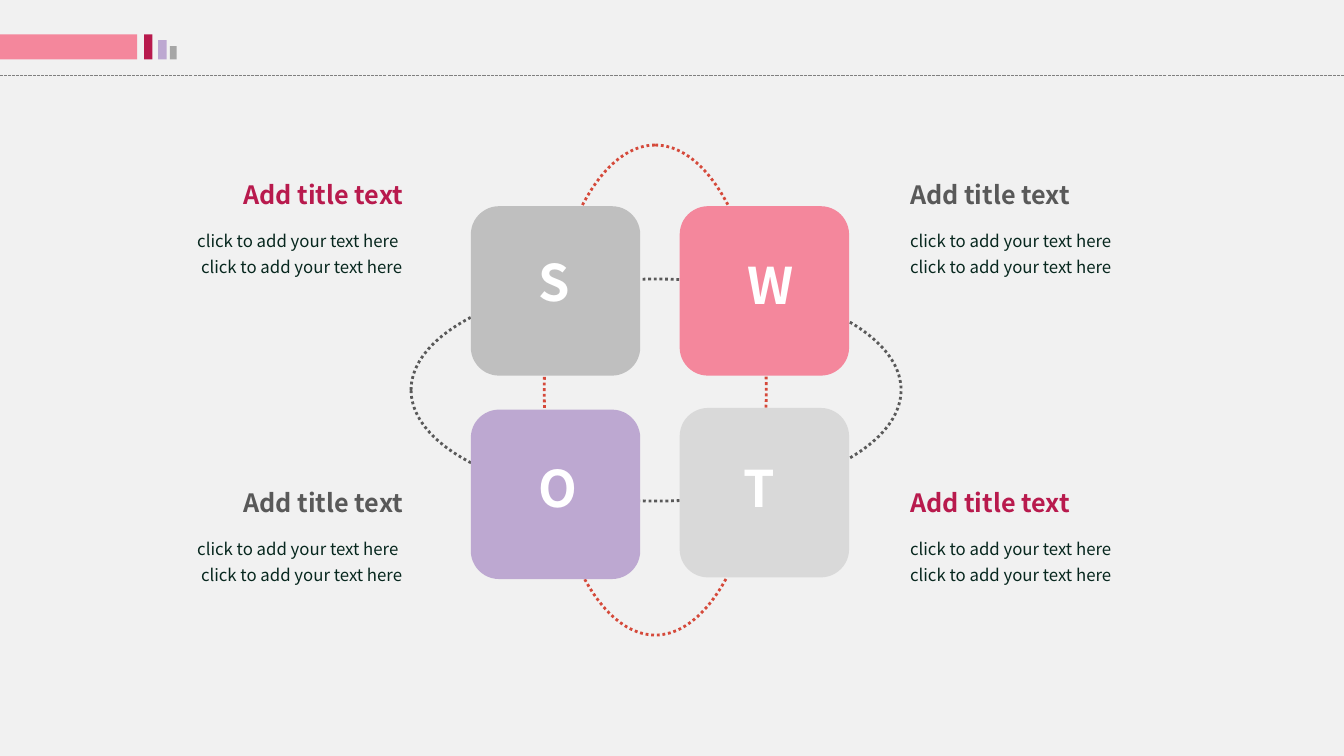
from dataclasses import dataclass

from lxml import etree
from pptx import Presentation
from pptx.dml.color import RGBColor
from pptx.enum.dml import MSO_LINE
from pptx.enum.shapes import MSO_CONNECTOR, MSO_SHAPE
from pptx.enum.text import MSO_AUTO_SIZE, PP_ALIGN
from pptx.oxml.ns import qn
from pptx.shapes.autoshape import Shape
from pptx.slide import Slide
from pptx.util import Pt

RECT = MSO_SHAPE.RECTANGLE
ROUNDED = MSO_SHAPE.ROUNDED_RECTANGLE
OVAL = MSO_SHAPE.OVAL
STRAIGHT = MSO_CONNECTOR.STRAIGHT
DOTTED = MSO_LINE.ROUND_DOT
DASHED = MSO_LINE.SQUARE_DOT
FIT_SHAPE = MSO_AUTO_SIZE.SHAPE_TO_FIT_TEXT
LEFT, CENTER, RIGHT = PP_ALIGN.LEFT, PP_ALIGN.CENTER, PP_ALIGN.RIGHT

PAPER = RGBColor(0xF1, 0xF1, 0xF1)
WHITE = RGBColor(0xFF, 0xFF, 0xFF)
PINK = RGBColor(0xF4, 0x87, 0x9C)
CRIMSON = RGBColor(0xB8, 0x1A, 0x4D)
LILAC = RGBColor(0xBD, 0xA8, 0xD1)
RED = RGBColor(0xD5, 0x49, 0x3A)
INK = RGBColor(0x07, 0x27, 0x1E)
CHARCOAL = RGBColor(0x59, 0x59, 0x59)
RULE_GRAY = RGBColor(0x80, 0x80, 0x80)
BAR_GRAY = RGBColor(0xA6, 0xA6, 0xA6)
SILVER = RGBColor(0xBF, 0xBF, 0xBF)
LIGHT_GRAY = RGBColor(0xD9, 0xD9, 0xD9)

FONT = "Noto Sans CJK KR"
LETTER = {"name": FONT, "size": Pt(36), "bold": True}
TITLE = {"name": FONT, "size": Pt(18), "bold": True}
BODY = {"name": FONT, "size": Pt(12)}

TITLE_TEXT = "Add title text"
BODY_TEXT = "click to add your text here"
BAR_BOTTOM = 42.5
TILE_SIZE = 121
LETTER_HEIGHT = 51
TITLE_HEIGHT = 29
BODY_WIDTH, BODY_HEIGHT = 263.5, 45
BODY_DROP = 32


@dataclass
class Bar:
    x: float
    width: float
    height: float
    color: RGBColor


@dataclass
class Ring:
    x: float
    rotation: int
    color: RGBColor


@dataclass
class Tile:
    letter: str
    x: float
    y: float
    color: RGBColor
    letter_x: float
    letter_y: float
    letter_width: float


@dataclass
class Column:
    title_x: float
    title_width: float
    body_x: float
    align: PP_ALIGN
    lines: list[str]
    title_colors: list[RGBColor]


BARS = [
    Bar(0, 98, 18, PINK),
    Bar(103, 5.8, 18, CRIMSON),
    Bar(113, 6, 13.8, LILAC),
    Bar(121.3, 5, 9.5, BAR_GRAY),
]
RINGS = [Ring(293.6, 0, CHARCOAL), Ring(293, 90, RED)]
TILES = [
    Tile("S", 336.3, 147.3, SILVER, 371.5, 175.7, 49),
    Tile("W", 485.5, 147.3, PINK, 516.2, 177.8, 68.4),
    Tile("O", 336.3, 292.6, LILAC, 367.2, 322.6, 62.6),
    Tile("T", 485.5, 291.4, LIGHT_GRAY, 519.8, 322.6, 45.4),
]
COLUMNS = [
    Column(162, 133, 31, RIGHT, [BODY_TEXT + " ", BODY_TEXT], [CRIMSON, CHARCOAL]),
    Column(643, 141, 643, LEFT, [BODY_TEXT, BODY_TEXT], [CHARCOAL, CRIMSON]),
]
ROWS = [124.7, 344.7]


def add_block(s: Slide, kind: MSO_SHAPE, x: float, y: float,
              w: float, h: float, color: RGBColor) -> Shape:
    sp = s.shapes.add_shape(kind, Pt(x), Pt(y), Pt(w), Pt(h))
    sp.shadow.inherit = False
    sp.fill.solid()
    sp.fill.fore_color.rgb = color
    sp.line.fill.background()
    return sp


def add_ring(s: Slide, ring: Ring) -> None:
    sp = s.shapes.add_shape(OVAL, Pt(ring.x), Pt(199.3), Pt(350), Pt(158.6))
    sp.shadow.inherit = False
    sp.fill.background()
    sp.rotation = ring.rotation
    sp.line.color.rgb = ring.color
    sp.line.width = Pt(2)
    sp.line.dash_style = DOTTED


def add_text(s: Slide, x: float, y: float, w: float, h: float, lines: list[str],
             style: dict, color: RGBColor, align: PP_ALIGN, spacing: float = 1.0) -> None:
    tf = s.shapes.add_textbox(Pt(x), Pt(y), Pt(w), Pt(h)).text_frame
    tf.word_wrap = True
    tf.auto_size = FIT_SHAPE
    for i, line in enumerate(lines):
        p = tf.add_paragraph() if i else tf.paragraphs[0]
        p.alignment = align
        p.line_spacing = spacing
        r = p.add_run()
        r.text = line
        for name, value in style.items():
            setattr(r.font, name, value)
        r.font.color.rgb = color


def add_header(s: Slide) -> None:
    rule = s.shapes.add_connector(STRAIGHT, Pt(960), Pt(54), Pt(0), Pt(54))
    etree.SubElement(rule.element.spPr, qn("a:effectLst"))
    rule.line.color.rgb = RULE_GRAY
    rule.line.width = Pt(0.75)
    rule.line.dash_style = DASHED
    for bar in BARS:
        add_block(s, RECT, bar.x, BAR_BOTTOM - bar.height, bar.width, bar.height, bar.color)


def add_tile(s: Slide, tile: Tile) -> None:
    add_block(s, ROUNDED, tile.x, tile.y, TILE_SIZE, TILE_SIZE, tile.color)
    add_text(s, tile.letter_x, tile.letter_y, tile.letter_width, LETTER_HEIGHT,
             [tile.letter], LETTER, WHITE, CENTER)


def add_column(s: Slide, col: Column) -> None:
    for y, color in zip(ROWS, col.title_colors):
        add_text(s, col.title_x, y, col.title_width, TITLE_HEIGHT,
                 [TITLE_TEXT], TITLE, color, col.align)
        add_text(s, col.body_x, y + BODY_DROP, BODY_WIDTH, BODY_HEIGHT,
                 col.lines, BODY, INK, col.align, 1.3)


def main() -> None:
    prs = Presentation()
    prs.slide_width, prs.slide_height = Pt(960), Pt(540)
    s = prs.slides.add_slide(prs.slide_layouts[6])
    s.background.fill.solid()
    s.background.fill.fore_color.rgb = PAPER
    add_header(s)
    for ring in RINGS:
        add_ring(s, ring)
    for tile in TILES:
        add_tile(s, tile)
    for col in COLUMNS:
        add_column(s, col)
    prs.save("out.pptx")


if __name__ == "__main__":
    main()
